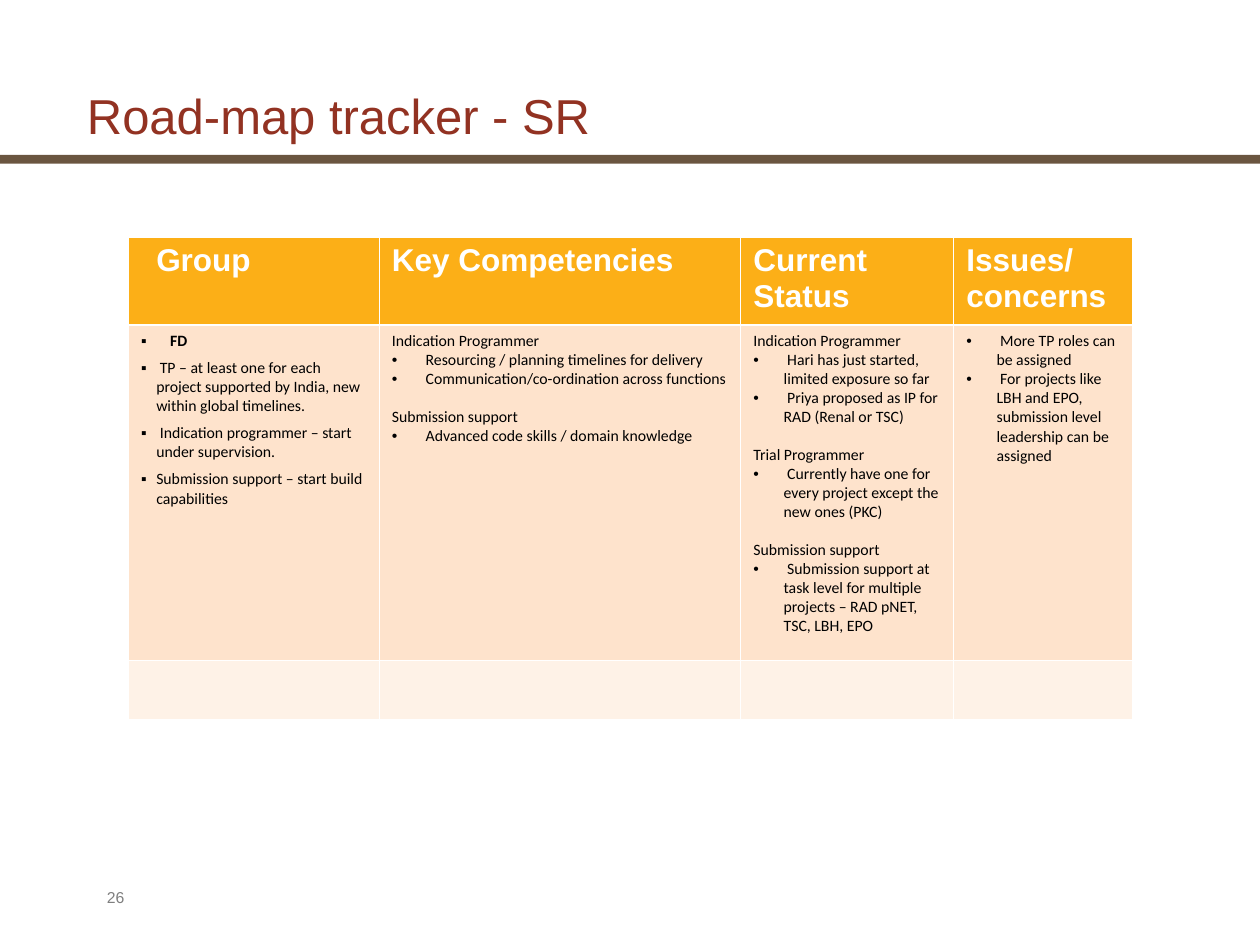
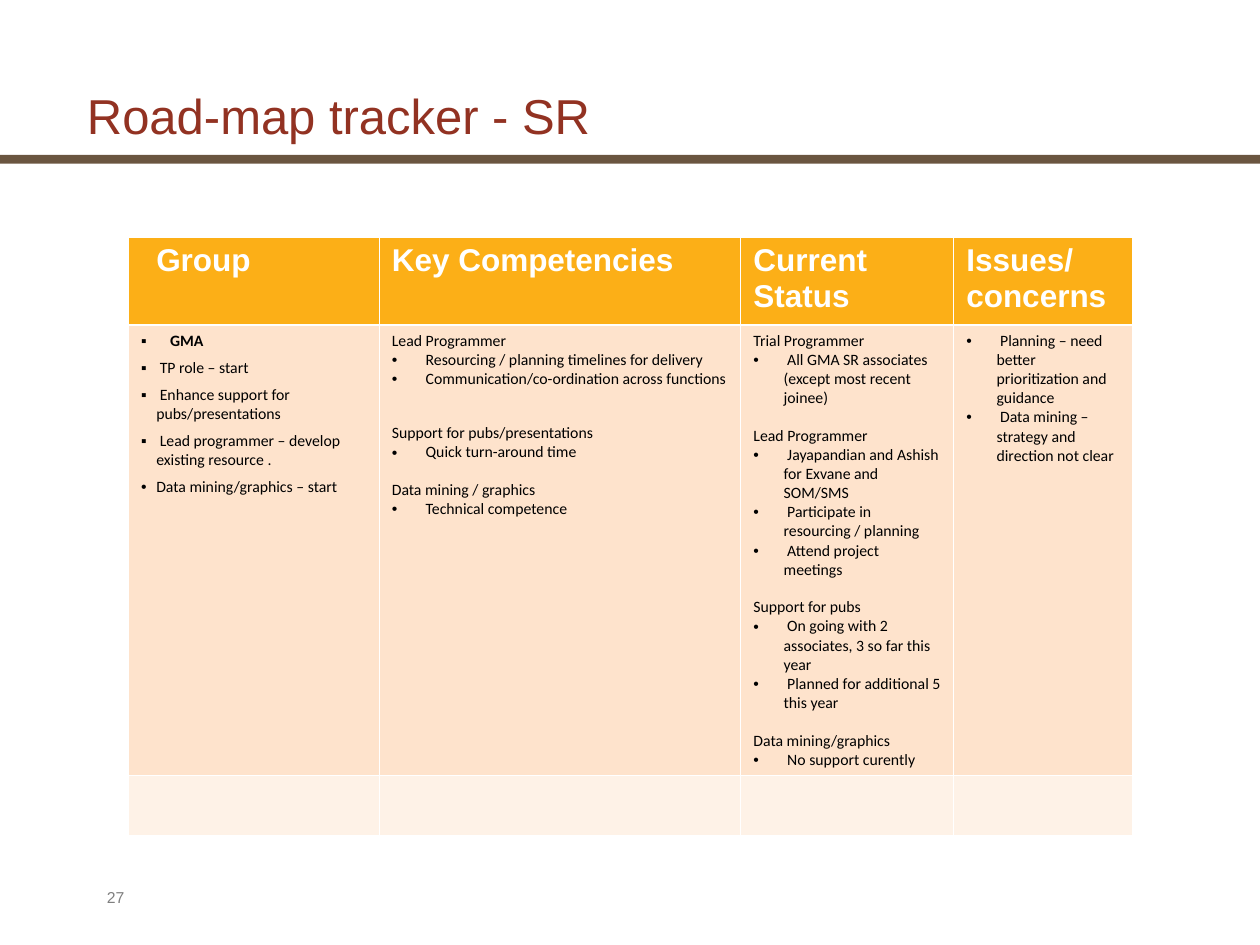
from dataclasses import dataclass, replace

from lxml.etree import SubElement
from pptx import Presentation
from pptx.dml.color import RGBColor
from pptx.enum.shapes import MSO_SHAPE as Preset
from pptx.enum.text import MSO_ANCHOR as Anchor, MSO_AUTO_SIZE as AutoSize, PP_ALIGN as Align
from pptx.oxml.ns import qn
from pptx.util import Inches, Pt


@dataclass(frozen=True)
class Theme:
    title_color: str = "923222"
    band: str = "6A5540"
    header_fill: str = "FCAF17"
    body_fill: str = "FEE3CC"
    last_fill: str = "FEF2E7"
    white: str = "FFFFFF"
    ink: str = "000000"
    number: str = "7F7F7F"
    heading_font: str = "Arial"
    body_font: str = "Calibri"
    title_size: float = 28
    header_size: float = 18
    small_size: float = 9
    thin_line: float = 0.45
    thick_line: float = 1.47


THEME = Theme()


@dataclass(frozen=True)
class Style:
    font: str = THEME.body_font
    size: float = THEME.small_size
    color: str = THEME.ink
    bold: bool = False
    bullet: str = ""
    indent: float = 0
    before: float = 0
    after: float = 0
    line_spacing: float = 1


TITLE = Style(THEME.heading_font, THEME.title_size, THEME.title_color, line_spacing=0.95)
HEADER = Style(THEME.heading_font, THEME.header_size, THEME.white, bold=True)
GROUP_HEADER = replace(HEADER, indent=0.12, after=9)
NUMBER = Style(THEME.heading_font, THEME.small_size, THEME.number)
ROLE = Style()
NEXT_ROLE = replace(ROLE, before=10.5)
FAR_ROLE = replace(ROLE, before=20)
POINT = Style(bullet="•", indent=0.24)
GOAL = Style(bullet="▪", indent=0.12, after=4.5)
ROUND_GOAL = replace(GOAL, bullet="•")
TEAM = replace(GOAL, indent=0.23, bold=True)


@dataclass(frozen=True)
class Line:
    style: Style
    text: str


@dataclass(frozen=True)
class Tracker:
    number: int
    body_height: float
    cells: list[list[Line]]


TITLE_TEXT = "Road-map tracker - SR"
COLUMN_WIDTHS = (1.99, 2.87, 1.69, 1.42)
HEADER_HEIGHT = 0.7
LAST_HEIGHT = 0.47
HEADERS = [
    [Line(GROUP_HEADER, "Group")],
    [Line(HEADER, "Key Competencies")],
    [Line(HEADER, "Current Status")],
    [Line(HEADER, "Issues/concerns")],
]
PLANNING_POINTS = [
    Line(POINT, " Resourcing / planning timelines for delivery"),
    Line(POINT, " Communication/co-ordination across functions"),
]

TRACKERS = [
    Tracker(26, 2.66, [
        [
            Line(TEAM, "FD"),
            Line(GOAL, " TP – at least one for each project supported by India, "
                       "new within global timelines."),
            Line(GOAL, " Indication programmer – start under supervision."),
            Line(GOAL, "Submission support – start build capabilities"),
        ],
        [
            Line(ROLE, "Indication Programmer"),
            *PLANNING_POINTS,
            Line(NEXT_ROLE, "Submission support"),
            Line(POINT, " Advanced code skills / domain knowledge"),
        ],
        [
            Line(ROLE, "Indication Programmer"),
            Line(POINT, " Hari has just started, limited exposure so far"),
            Line(POINT, " Priya proposed as IP for RAD (Renal or TSC)"),
            Line(NEXT_ROLE, "Trial Programmer"),
            Line(POINT, " Currently have one for every project except the new ones (PKC)"),
            Line(NEXT_ROLE, "Submission support"),
            Line(POINT, " Submission support at task level for multiple projects – "
                        "RAD pNET, TSC, LBH, EPO"),
        ],
        [
            Line(POINT, " More TP roles can be assigned"),
            Line(POINT, " For projects like LBH and EPO, submission level "
                        "leadership can be assigned"),
        ],
    ]),
    Tracker(27, 3.56, [
        [
            Line(TEAM, "GMA"),
            Line(GOAL, " TP role – start"),
            Line(GOAL, " Enhance support for pubs/presentations"),
            Line(GOAL, " Lead programmer – develop existing resource ."),
            Line(ROUND_GOAL, "Data mining/graphics – start"),
        ],
        [
            Line(ROLE, "Lead Programmer"),
            *PLANNING_POINTS,
            Line(FAR_ROLE, "Support for pubs/presentations"),
            Line(POINT, " Quick turn-around time"),
            Line(NEXT_ROLE, "Data mining / graphics"),
            Line(POINT, " Technical competence"),
        ],
        [
            Line(ROLE, "Trial Programmer"),
            Line(POINT, " All GMA SR associates (except most recent joinee)"),
            Line(NEXT_ROLE, "Lead Programmer"),
            Line(POINT, " Jayapandian and Ashish for Exvane and SOM/SMS"),
            Line(POINT, " Participate in resourcing / planning"),
            Line(POINT, " Attend project meetings"),
            Line(NEXT_ROLE, "Support for pubs"),
            Line(POINT, " On going with 2 associates, 3 so far this year"),
            Line(POINT, " Planned for additional 5 this year"),
            Line(NEXT_ROLE, "Data mining/graphics"),
            Line(POINT, " No support curently"),
        ],
        [
            Line(POINT, " Planning – need better prioritization and guidance"),
            Line(POINT, " Data mining – strategy and direction not clear"),
        ],
    ]),
]


def rgb(color: str) -> RGBColor:
    return RGBColor.from_string(color)


def set_indent(para, style: Style) -> None:
    """Indent the paragraph, hanging its bullet when it has one."""
    properties = para._p.get_or_add_pPr()
    indent = Inches(style.indent)
    properties.set("marL", str(indent))
    properties.set("indent", str(-indent if style.bullet else 0))
    if style.bullet:
        color = SubElement(properties, qn("a:buClr"))
        SubElement(color, qn("a:srgbClr"), val=style.color)
        SubElement(properties, qn("a:buFont"), typeface=THEME.heading_font)
        SubElement(properties, qn("a:buChar"), char=style.bullet)


def write_lines(frame, lines: list[Line]) -> None:
    for index, line in enumerate(lines):
        style = line.style
        para = frame.paragraphs[0] if index == 0 else frame.add_paragraph()
        set_indent(para, style)
        para.alignment = Align.LEFT
        para.line_spacing = style.line_spacing
        para.space_before = Pt(style.before)
        para.space_after = Pt(style.after)
        span = para.add_run()
        span.text = line.text
        span.font.name = style.font
        span.font.size = Pt(style.size)
        span.font.bold = style.bold
        span.font.color.rgb = rgb(style.color)


def set_borders(cell, top: float, bottom: float) -> None:
    properties = cell._tc.get_or_add_tcPr()
    widths = {"lnL": THEME.thin_line, "lnR": THEME.thin_line, "lnT": top, "lnB": bottom}
    for tag, width in widths.items():
        border = SubElement(properties, qn(f"a:{tag}"), w=str(Pt(width)))
        fill = SubElement(border, qn("a:solidFill"))
        SubElement(fill, qn("a:srgbClr"), val=THEME.white)


def add_tracker_table(page, tracker: Tracker) -> None:
    heights = (HEADER_HEIGHT, tracker.body_height, LAST_HEIGHT)
    fills = (THEME.header_fill, THEME.body_fill, THEME.last_fill)
    contents = (HEADERS, tracker.cells, [[] for _ in COLUMN_WIDTHS])
    edges = (THEME.thin_line, THEME.thick_line, THEME.thin_line, THEME.thin_line)
    table = page.shapes.add_table(
        len(heights), len(COLUMN_WIDTHS), Inches(1.02), Inches(1.88),
        Inches(sum(COLUMN_WIDTHS)), Inches(sum(heights))).table
    for column, width in zip(table.columns, COLUMN_WIDTHS):
        column.width = Inches(width)
    for row_index, row in enumerate(table.rows):
        row.height = Inches(heights[row_index])
        for cell, lines in zip(row.cells, contents[row_index]):
            set_borders(cell, edges[row_index], edges[row_index + 1])
            cell.fill.solid()
            cell.fill.fore_color.rgb = rgb(fills[row_index])
            write_lines(cell.text_frame, lines)


def add_band(page) -> None:
    band = page.shapes.add_shape(
        Preset.RECTANGLE, 0, Inches(1.23), Inches(10), Inches(0.07))
    band.shadow.inherit = False
    band.fill.solid()
    band.fill.fore_color.rgb = rgb(THEME.band)
    band.line.fill.background()


def set_title(page) -> None:
    title = page.shapes.title
    title.left, title.top = Inches(0.59), Inches(0.67)
    title.width, title.height = Inches(9.07), Inches(0.54)
    frame = title.text_frame
    frame.auto_size = AutoSize.NONE
    frame.vertical_anchor = Anchor.BOTTOM
    write_lines(frame, [Line(TITLE, TITLE_TEXT)])


def add_page_number(page, number: int) -> None:
    box = page.shapes.add_textbox(Inches(0.75), Inches(7), Inches(7.08), Inches(0.27))
    box.text_frame.word_wrap = True
    write_lines(box.text_frame, [Line(NUMBER, str(number))])


def main() -> None:
    deck = Presentation()
    deck.slide_width, deck.slide_height = Inches(10), Inches(7.5)
    title_only = deck.slide_layouts.get_by_name("Title Only")
    for tracker in TRACKERS:
        page = deck.slides.add_slide(title_only)
        add_band(page)
        set_title(page)
        add_tracker_table(page, tracker)
        add_page_number(page, tracker.number)
    deck.save("out.pptx")


if __name__ == "__main__":
    main()
